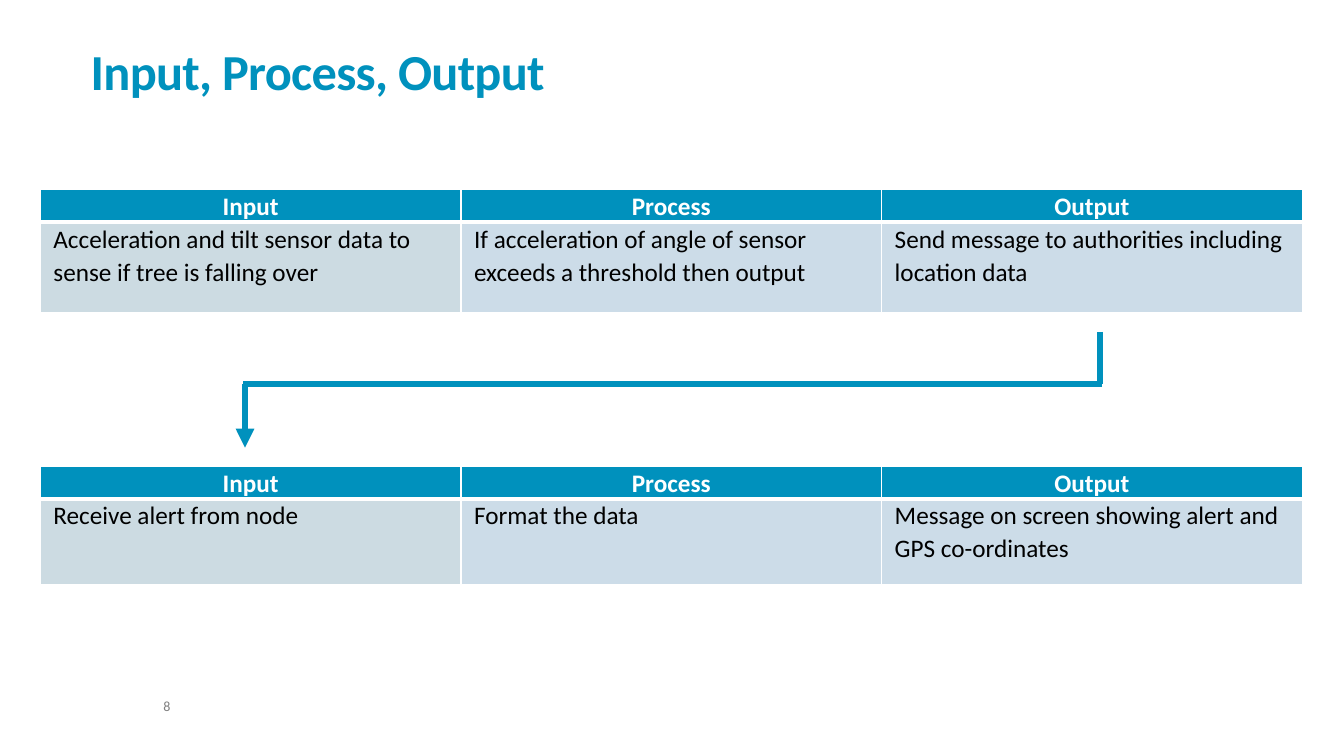
from dataclasses import dataclass

from lxml.etree import SubElement
from pptx import Presentation
from pptx.dml.color import RGBColor
from pptx.enum.shapes import MSO_CONNECTOR as Connector
from pptx.enum.text import MSO_ANCHOR as Anchor, MSO_AUTO_SIZE as AutoSize, PP_ALIGN as Align
from pptx.oxml.ns import qn
from pptx.shapes.connector import Connector as ConnectorShape
from pptx.slide import Slide
from pptx.table import _Cell as Cell
from pptx.text.text import TextFrame, _Paragraph as Paragraph
from pptx.util import Inches, Length, Pt

SLIDE_WIDTH, SLIDE_HEIGHT = Inches(13.33), Inches(7.5)


@dataclass(frozen=True)
class Theme:
    font: str = "Calibri"
    accent: str = "0091BD"
    white: str = "FFFFFF"
    body: str = "000000"
    muted: str = "7F7F7F"
    input_fill: str = "CCDBE2"
    step_fill: str = "CCDCE8"
    title_size: float = 36
    table_size: float = 18
    number_size: float = 10
    thin: float = 1
    thick: float = 3
    arrow: float = 4.5


@dataclass(frozen=True)
class Stage:
    """One input-process-output table; top and body_rows are grid rows."""
    top: float
    body_rows: float
    steps: tuple[str, str, str]


THEME = Theme()
HEADINGS = ("Input", "Process", "Output")
TABLE_LEFT, STEP_COLUMNS, HEADER_ROWS = 3, 31.3, 4
STAGES = (
    Stage(25.1, 12, (
        "Acceleration and tilt sensor data to sense if tree is falling over",
        "If acceleration of angle of sensor exceeds a threshold then output",
        "Send message to authorities including location data",
    )),
    Stage(61.7, 11.3, (
        "Receive alert from node",
        "Format the data",
        "Message on screen showing alert and GPS co-ordinates",
    )),
)


def columns(count: float) -> Length:
    """Width of grid columns, 100 to the slide."""
    return Length(round(SLIDE_WIDTH * count / 100))


def rows(count: float) -> Length:
    """Height of grid rows, 100 to the slide."""
    return Length(round(SLIDE_HEIGHT * count / 100))


def color(code: str) -> RGBColor:
    return RGBColor.from_string(code)


def format_text(paragraph: Paragraph, size: float, code: str, spacing: float,
                bold: bool = False) -> None:
    paragraph.line_spacing = spacing
    for run in paragraph.runs:
        run.font.name = THEME.font
        run.font.size = Pt(size)
        run.font.bold = bold
        run.font.color.rgb = color(code)


def clear_margins(frame: TextFrame) -> None:
    frame.margin_left = frame.margin_right = frame.margin_top = frame.margin_bottom = 0


def add_title(slide: Slide) -> None:
    title = slide.shapes.title
    title.left, title.top = columns(6.75), rows(5.2)
    title.width, title.height = columns(83.1), rows(8.1)
    frame = title.text_frame
    frame.text = "Input, Process, Output"
    clear_margins(frame)
    frame.auto_size = AutoSize.NONE
    frame.vertical_anchor = Anchor.BOTTOM
    heading = frame.paragraphs[0]
    heading.alignment = Align.LEFT
    format_text(heading, THEME.title_size, THEME.accent, 0.85, bold=True)
    heading.runs[0]._r.get_or_add_rPr().set("spc", "-50")


def add_page_number(slide: Slide) -> None:
    number = slide.shapes.add_textbox(columns(12.15), rows(92.5), columns(8.9), rows(2))
    frame = number.text_frame
    frame.text = "8"
    frame.word_wrap = True
    clear_margins(frame)
    format_text(frame.paragraphs[0], THEME.number_size, THEME.muted, 0.9)


def add_borders(cell: Cell, top: float, bottom: float) -> None:
    properties = cell._tc.get_or_add_tcPr()
    widths = {"a:lnL": THEME.thin, "a:lnR": THEME.thin, "a:lnT": top, "a:lnB": bottom}
    for tag, width in widths.items():
        line = SubElement(properties, qn(tag), w=str(Pt(width)))
        SubElement(SubElement(line, qn("a:solidFill")), qn("a:srgbClr"), val=THEME.white)


def fill_cell(cell: Cell, text: str, fill: str, header: bool) -> None:
    cell.text = text
    cell.margin_left = cell.margin_right = Inches(0.13)
    cell.margin_top = cell.margin_bottom = 0
    paragraph = cell.text_frame.paragraphs[0]
    paragraph.alignment = Align.CENTER if header else Align.LEFT
    format_text(paragraph, THEME.table_size, THEME.white if header else THEME.body,
                1.07, bold=header)
    add_borders(cell, *((THEME.thin, THEME.thick) if header else (THEME.thick, THEME.thin)))
    cell.fill.solid()
    cell.fill.fore_color.rgb = color(fill)


def add_stage(slide: Slide, stage: Stage) -> None:
    table = slide.shapes.add_table(
        2, len(HEADINGS), columns(TABLE_LEFT), rows(stage.top),
        columns(STEP_COLUMNS * len(HEADINGS)), rows(HEADER_ROWS + stage.body_rows)).table
    table.horz_banding = False
    table.rows[0].height = rows(HEADER_ROWS)
    table.rows[1].height = rows(stage.body_rows)
    for index, (heading, step) in enumerate(zip(HEADINGS, stage.steps)):
        table.columns[index].width = columns(STEP_COLUMNS)
        fill_cell(table.cell(0, index), heading, THEME.accent, header=True)
        step_fill = THEME.step_fill if index else THEME.input_fill
        fill_cell(table.cell(1, index), step, step_fill, header=False)


def add_arrowhead(segment: ConnectorShape) -> None:
    SubElement(segment.line._get_or_add_ln(), qn("a:tailEnd"), type="triangle")


def add_feed_arrow(slide: Slide) -> None:
    """Lead from the first stage's output to the second stage's input."""
    output_x, input_x, overlap = 81.85, 18.23, 0.15
    start_y, turn_y, end_y = 43.9, 50.8, 59.2
    route = (
        (output_x, start_y, output_x, turn_y),
        (output_x + overlap, turn_y, input_x - overlap, turn_y),
        (input_x, turn_y, input_x, end_y),
    )
    arrow = slide.shapes.add_group_shape()
    for x1, y1, x2, y2 in route:
        segment = arrow.shapes.add_connector(
            Connector.STRAIGHT, columns(x1), rows(y1), columns(x2), rows(y2))
        segment.line.color.rgb = color(THEME.accent)
        segment.line.width = Pt(THEME.arrow)
        SubElement(segment._element.spPr, qn("a:effectLst"))
    add_arrowhead(segment)


def main() -> None:
    deck = Presentation()
    deck.slide_width, deck.slide_height = SLIDE_WIDTH, SLIDE_HEIGHT
    slide = deck.slides.add_slide(deck.slide_layouts[5])
    add_page_number(slide)
    add_title(slide)
    for stage in STAGES:
        add_stage(slide, stage)
    add_feed_arrow(slide)
    deck.save("out.pptx")


if __name__ == "__main__":
    main()
